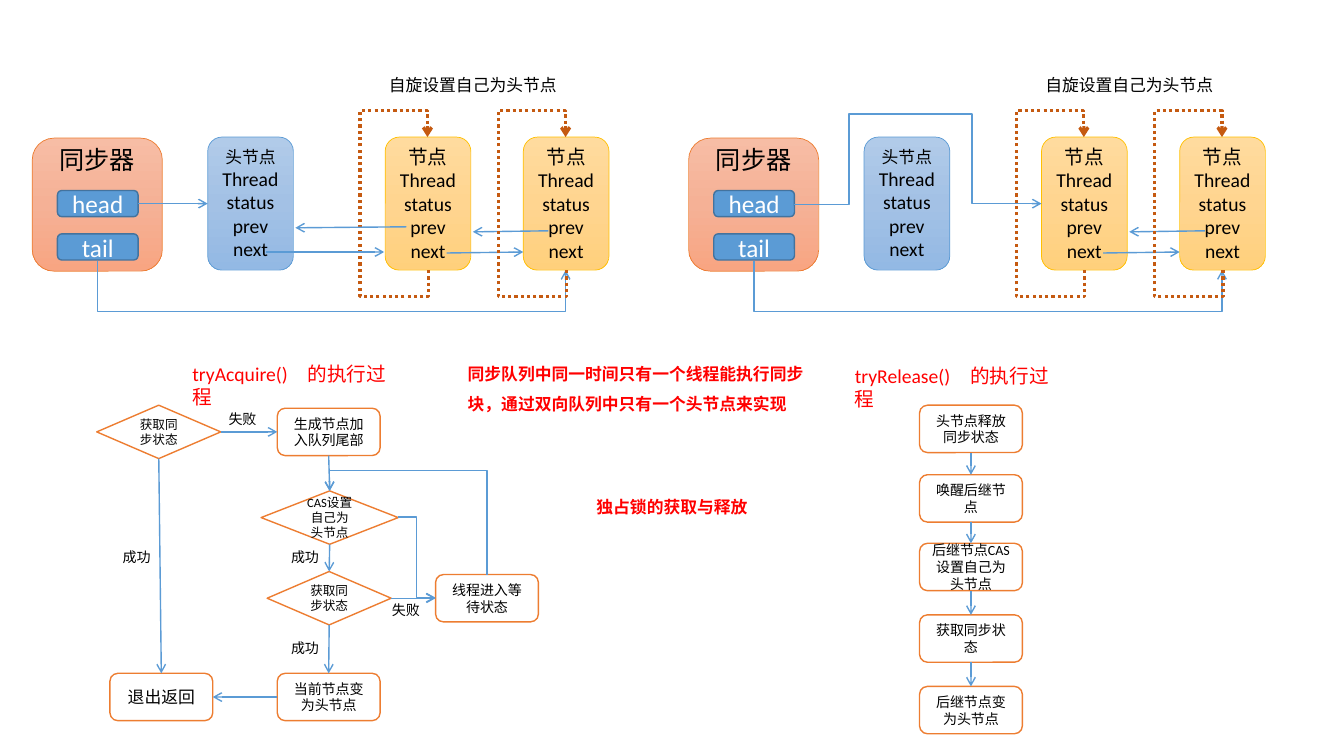
from copy import deepcopy

from lxml.etree import SubElement
from pptx import Presentation
from pptx.dml.color import RGBColor
from pptx.enum.dml import MSO_LINE
from pptx.enum.shapes import MSO_CONNECTOR as CONNECTOR, MSO_SHAPE as SHAPE
from pptx.enum.text import MSO_ANCHOR as ANCHOR, PP_ALIGN as ALIGN
from pptx.oxml.ns import qn
from pptx.util import Inches, Pt

COLORS = {"black": "000000", "white": "FFFFFF", "red": "FF0000", "blue": "5B9BD5",
          "navy": "43739E", "orange": "ED7D31", "gold": "FFC000", "rust": "C55A11"}
GRADIENTS = {"orange": ("F7BDA5", "F5B196", "F8A582"),
             "blue": ("B1CBE9", "A3C1E5", "93B9E4"),
             "gold": ("FFDB9E", "FFD590", "FFD07C")}
FONT = "Calibri"
TOP, BOTTOM, LEFT, RIGHT = 0, 2, 1, 3

NODE_FIELDS = ["Thread", "status", "prev", "next"]
QUEUE_NODES = [  # title, title size, offset from panel, colour
    ("头节点", 12, 1.74, "blue"),
    ("节点", 14, 3.5, "gold"),
    ("节点", 14, 4.87, "gold"),
]
POINTERS = [("head", 1.89), ("tail", 2.32)]
PANELS = [0.32, 6.83]
BACK_AND_FORTH = [  # arrows between the last two nodes, as offsets from the panel
    ((4.11, 2.51), (4.87, 2.5)),
    ((5.12, 2.29), (4.37, 2.3)),
]
HEAD_NODE_ARROWS = [
    ((2.32, 2.5), (3.49, 2.5)),
    ((3.71, 2.25), (2.61, 2.26)),
]

BOX_SIZE, DIAMOND_SIZE, WIDE_DIAMOND_SIZE = (1.02, 0.47), (1.23, 0.53), (1.36, 0.53)
ACQUIRE_STEPS = {  # name: (text, left, top, size, shape, font size)
    "try": ("获取同步状态", 0.96, 4.02, DIAMOND_SIZE, SHAPE.DIAMOND, 9),
    "exit": ("退出返回", 1.09, 6.68, BOX_SIZE, SHAPE.ROUNDED_RECTANGLE, 12),
    "enqueue": ("生成节点加入队列尾部", 2.75, 4.05, BOX_SIZE, SHAPE.ROUNDED_RECTANGLE, 10),
    "cas": ("CAS设置自己为头节点", 2.59, 4.87, WIDE_DIAMOND_SIZE, SHAPE.DIAMOND, 9),
    "retry": ("获取同步状态", 2.65, 5.67, DIAMOND_SIZE, SHAPE.DIAMOND, 9),
    "become": ("当前节点变为头节点", 2.75, 6.68, BOX_SIZE, SHAPE.ROUNDED_RECTANGLE, 10),
    "wait": ("线程进入等待状态", 4.32, 5.7, BOX_SIZE, SHAPE.ROUNDED_RECTANGLE, 10),
}
ACQUIRE_ARROWS = [
    ("try", RIGHT, "enqueue", LEFT),
    ("enqueue", BOTTOM, "cas", TOP),
    ("cas", BOTTOM, "retry", TOP),
    ("retry", BOTTOM, "become", TOP),
    ("become", LEFT, "exit", RIGHT),
    ("try", BOTTOM, "exit", TOP),
    ("retry", RIGHT, "wait", LEFT),
]
RELEASE_LEFT = 9.12
RELEASE_STEPS = [
    ("头节点释放同步状态", 4.02),
    ("唤醒后继节点", 4.71),
    ("后继节点CAS设置自己为头节点", 5.39),
    ("获取同步状态", 6.1),
    ("后继节点变为头节点", 6.81),
]
BRANCH_LABELS = [
    ("失败", 2.16, 4.02), ("成功", 1.11, 5.39), ("成功", 2.78, 5.39),
    ("成功", 2.78, 6.3), ("失败", 3.78, 5.92),
]
HEADINGS = [("tryAcquire()　的执行过程", 1.81, 3.54), ("tryRelease()　的执行过程", 8.38, 3.56)]

presentation = Presentation()
presentation.slide_width, presentation.slide_height = Inches(13.33), Inches(7.5)
slide = presentation.slides.add_slide(presentation.slide_layouts[6])


def rgb(name):
    return RGBColor.from_string(COLORS[name])


def write(shape, lines, sizes, color, align=ALIGN.CENTER, bold=False, spacing=None):
    frame = shape.text_frame
    frame.word_wrap = True
    frame.text = "\n".join(lines)
    for paragraph, size in zip(frame.paragraphs, sizes):
        paragraph.alignment = align
        paragraph.line_spacing = spacing
        font = paragraph.font
        font.name, font.size, font.bold = FONT, Pt(size), bold
        font.color.rgb = rgb(color)


def add_box(lines, sizes, box, fill, line, line_width=1, kind=SHAPE.ROUNDED_RECTANGLE,
            color="black", gradient=False):
    shape = slide.shapes.add_shape(kind, *map(Inches, box))
    shape.shadow.inherit = False
    if gradient:
        shape.fill.gradient()
        shape.fill.gradient_angle = 270
        stop_list = shape._element.spPr.find(".//" + qn("a:gsLst"))
        stop_list.insert(1, deepcopy(stop_list[0]))
        for index, stop in enumerate(shape.fill.gradient_stops):
            stop.position = index / 2
            stop.color.rgb = RGBColor.from_string(GRADIENTS[fill][index])
    else:
        shape.fill.solid()
        shape.fill.fore_color.rgb = rgb(fill)
    shape.line.color.rgb = rgb(line)
    shape.line.width = Pt(line_width)
    shape.text_frame.vertical_anchor = ANCHOR.MIDDLE
    write(shape, lines, sizes, color)
    return shape


def add_label(text, box, size, color="black", **style):
    write(slide.shapes.add_textbox(*map(Inches, box)), [text], [size], color, **style)


def add_line(start, end, kind=CONNECTOR.STRAIGHT, color="blue", width=1, arrow=True):
    connector = slide.shapes.add_connector(kind, *map(Inches, (*start, *end)))
    connector.line.color.rgb = rgb(color)
    connector.line.width = Pt(width)
    if arrow:
        SubElement(connector.line._get_or_add_ln(), qn("a:tailEnd"), type="arrow")
    SubElement(connector._element.spPr, qn("a:effectLst"))
    return connector


def join(first, first_side, second, second_side):
    connector = add_line((0, 0), (1, 1))
    connector.begin_connect(first, first_side)
    connector.end_connect(second, second_side)


def add_elbow(start, end, bends, vertical=False, **style):
    """Bends are absolute coordinates, alternating along and across the first leg."""
    connector = add_line(start, end, CONNECTOR.ELBOW, **style)
    delta = [end[0] - start[0], end[1] - start[1]]
    if vertical:
        width, height = abs(delta[1]), abs(delta[0])
        connector.left = Inches((start[0] + end[0] - width) / 2)
        connector.top = Inches((start[1] + end[1] - height) / 2)
        connector.width, connector.height = Inches(width), Inches(height)
        transform = connector._element.spPr.find(qn("a:xfrm"))
        transform.set("rot", str(90 * 60000))
        transform.set("flipH", str(int(delta[1] < 0)))
        transform.set("flipV", str(int(delta[0] > 0)))
    geometry = connector._element.spPr.find(qn("a:prstGeom"))
    geometry.set("prst", f"bentConnector{len(bends) + 2}")
    guides = geometry.find(qn("a:avLst"))
    for index, bend in enumerate(bends):
        axis = (index + vertical) % 2
        share = round((bend - start[axis]) / delta[axis] * 100000)
        name = "adj1" if len(bends) == 1 else f"adj{index + 1}"
        SubElement(guides, qn("a:gd"), name=name, fmla=f"val {share}")
    return connector


def add_queue(left):
    synchronizer = add_box(["同步器"], [18], (left, 1.37, 1.29, 1.32), "orange", "orange",
                           0.5, gradient=True)
    synchronizer.text_frame.vertical_anchor = ANCHOR.TOP
    synchronizer.text_frame.margin_top = 0
    head, tail = [add_box([name], [18], (left + 0.25, top, 0.8, 0.26), "blue", "navy",
                          color="white") for name, top in POINTERS]
    nodes = [add_box([title, *NODE_FIELDS], [size] + [14] * 4,
                     (left + offset, 1.36, 0.85, 1.32), color, color, 0.5, gradient=True)
             for title, size, offset, color in QUEUE_NODES]
    add_elbow((left + 0.65, 2.59), (left + 5.29, 2.68), [3.09], vertical=True)
    for (x1, y1), (x2, y2) in BACK_AND_FORTH:
        add_line((left + x1, y1), (left + x2, y2))
    for _, _, offset, _ in QUEUE_NODES[1:]:
        middle = left + offset + 0.43
        spin = add_elbow((middle, 2.68), (middle - 0.01, 1.36), [2.94, middle - 0.69, 1.1],
                         vertical=True, color="rust", width=2.25)
        spin.line.dash_style = MSO_LINE.ROUND_DOT
    add_label("自旋设置自己为头节点", (left + 3.36, 0.69, 2.02, 0.3), 12)
    return head, nodes[0]


# Before: head points to the head node
head, head_node = add_queue(PANELS[0])
join(head, RIGHT, head_node, LEFT)
for (x1, y1), (x2, y2) in HEAD_NODE_ARROWS:
    add_line((PANELS[0] + x1, y1), (PANELS[0] + x2, y2))

# After: head skips over the old head node
add_queue(PANELS[1])
add_elbow((7.88, 2.03), (8.95, 1.13), [8.42], arrow=False)
add_elbow((8.95, 1.13), (10.33, 2.02), [9.64])

steps = {name: add_box([text], [size], (left, top, *extent), "white", "orange", kind=kind)
         for name, (text, left, top, extent, kind, size) in ACQUIRE_STEPS.items()}
for first, first_side, second, second_side in ACQUIRE_ARROWS:
    join(steps[first], first_side, steps[second], second_side)
add_elbow((3.95, 5.13), (4.32, 5.93), [4.13])
add_elbow((4.83, 5.7), (3.27, 4.87), [4.67], vertical=True)

release = [add_box([text], [10], (RELEASE_LEFT, top, *BOX_SIZE), "white", "orange")
           for text, top in RELEASE_STEPS]
for upper, lower in zip(release, release[1:]):
    join(upper, BOTTOM, lower, TOP)

for text, left, top in BRANCH_LABELS:
    add_label(text, (left, top, 0.49, 0.27), 10, align=ALIGN.CENTER)
for text, left, top in HEADINGS:
    add_label(text, (left, top, 2.25, 0.34), 14, "red", align=ALIGN.LEFT)
add_label("同步队列中同一时间只有一个线程能执行同步块，通过双向队列中只有一个头节点来实现",
          (4.54, 3.46, 3.64, 0.71), 12, "red", align=ALIGN.LEFT, bold=True, spacing=1.5)
add_label("独占锁的获取与释放", (5.59, 4.88, 2.15, 0.3), 12, "red", align=ALIGN.CENTER, bold=True)

presentation.save("out.pptx")
